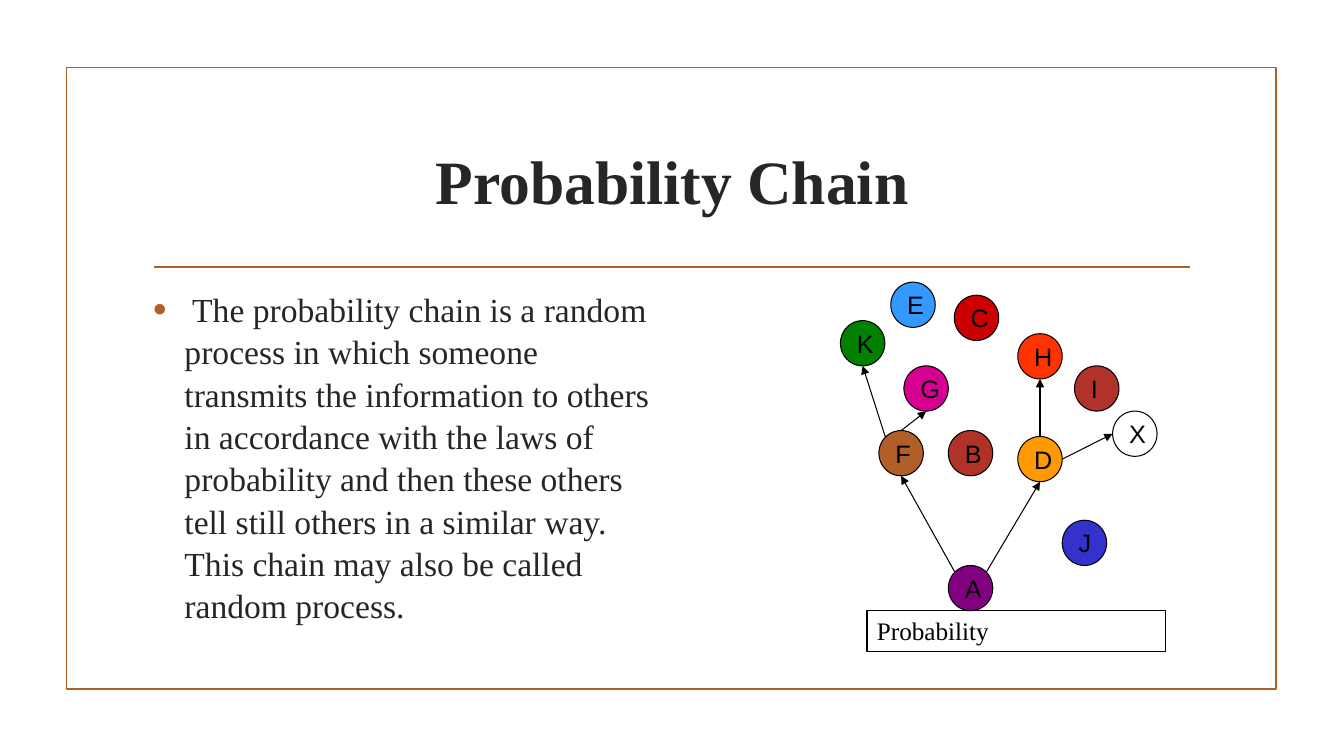
from typing import NamedTuple

from lxml import etree
from pptx import Presentation
from pptx.dml.color import RGBColor
from pptx.enum.shapes import MSO_CONNECTOR, MSO_SHAPE
from pptx.enum.text import MSO_ANCHOR, MSO_AUTO_SIZE, PP_ALIGN
from pptx.oxml.ns import qn
from pptx.util import Cm, Pt

RECT, OVAL = MSO_SHAPE.RECTANGLE, MSO_SHAPE.OVAL
STRAIGHT = MSO_CONNECTOR.STRAIGHT
TOP, MIDDLE = MSO_ANCHOR.TOP, MSO_ANCHOR.MIDDLE
LEFT, CENTER = PP_ALIGN.LEFT, PP_ALIGN.CENTER
GROW = MSO_AUTO_SIZE.SHAPE_TO_FIT_TEXT

COLORS = {
    "rust": "B15E28", "ink": "262626", "black": "000000", "purple": "800080",
    "brick": "B13228", "orange": "FF9900", "blue": "3333CC", "scarlet": "FF3300",
    "red": "CC0000", "sky": "3399FF", "green": "008000", "magenta": "D60093",
}
SERIF, SANS = "Times New Roman", "Arial"
TITLE_FONT = {"name": SERIF, "size": Pt(44), "bold": True}
BODY_FONT = {"name": SERIF, "size": Pt(24)}
LABEL_FONT = {"name": SERIF, "size": Pt(18)}
NODE_FONT = {"name": SANS, "size": Pt(18)}

NODE_W, NODE_H = 1.12, 1.14
# Points on a circle, as fractions of its width and height
SITES = {
    "top": (0.5, 0), "bottom": (0.5, 1), "left": (0, 0.5), "right": (1, 0.5),
    "top left": (0.146, 0.146), "top right": (0.854, 0.146),
}


class Node(NamedTuple):
    x: float
    y: float
    fill: str | None


class Link(NamedTuple):
    source: str
    source_site: str
    target: str
    target_site: str


NODES = {
    "A": Node(23.9, 14.25, "purple"),
    "F": Node(22.15, 10.85, "rust"),
    "B": Node(23.9, 10.85, "brick"),
    "D": Node(25.65, 11, "orange"),
    "J": Node(26.77, 13.11, "blue"),
    "H": Node(25.65, 8.41, "scarlet"),
    "C": Node(24.05, 7.44, "red"),
    "E": Node(22.45, 7.11, "sky"),
    "K": Node(21.18, 8.08, "green"),
    "G": Node(22.78, 9.22, "magenta"),
    "I": Node(27.08, 9.22, "brick"),
    "X": Node(28.04, 10.36, None),
}
LINKS = [
    Link("A", "top left", "F", "bottom"),
    Link("A", "top right", "D", "bottom"),
    Link("F", "top", "G", "bottom"),
    Link("F", "top left", "K", "bottom"),
    Link("D", "top", "H", "bottom"),
    Link("D", "right", "X", "left"),
]
BODY = (
    " The probability chain is a random process in which someone transmits the "
    "information to others in accordance with the laws of probability and then "
    "these others tell still others in a similar way. This chain may also be "
    "called random process."
)


def rgb(color: str) -> RGBColor:
    return RGBColor.from_string(COLORS[color])


def write(sp, text: str, font: dict, color: str, align=LEFT, anchor=TOP, wrap=True):
    tf = sp.text_frame
    for name, value in {"word_wrap": wrap, "vertical_anchor": anchor}.items():
        setattr(tf, name, value)
    p = tf.paragraphs[0]
    p.alignment = align
    r = p.add_run()
    r.text = text
    for name, value in font.items():
        setattr(r.font, name, value)
    r.font.color.rgb = rgb(color)
    return p


def add_text(slide, box: tuple, text: str, font: dict, **layout):
    sp = slide.shapes.add_textbox(*map(Cm, box))
    return write(sp, text, font, "ink", **layout)


def add_outlined(slide, kind, box: tuple, line: str, width: float, fill: str | None = None):
    sp = slide.shapes.add_shape(kind, *map(Cm, box))
    sp.shadow.inherit = False
    if fill:
        sp.fill.solid()
        sp.fill.fore_color.rgb = rgb(fill)
    else:
        sp.fill.background()
    sp.line.color.rgb = rgb(line)
    sp.line.width = Pt(width)
    return sp


def add_line(slide, start: tuple, end: tuple, color: str, width: float, arrow: bool = False):
    cx = slide.shapes.add_connector(STRAIGHT, *map(Cm, start + end))
    cx.line.color.rgb = rgb(color)
    cx.line.width = Pt(width)
    if arrow:
        etree.SubElement(cx.line._get_or_add_ln(), qn("a:tailEnd"), type="triangle")
    etree.SubElement(cx._element.spPr, qn("a:effectLst"))


def add_bullet(p, color: str, indent: float) -> None:
    pPr = p._p.get_or_add_pPr()
    pPr.set("marL", str(Cm(indent)))
    pPr.set("indent", str(-Cm(indent)))
    bu_clr = etree.SubElement(pPr, qn("a:buClr"))
    etree.SubElement(bu_clr, qn("a:srgbClr"), val=COLORS[color])
    etree.SubElement(pPr, qn("a:buSzPct"), val="115000")
    etree.SubElement(pPr, qn("a:buFont"), typeface=SANS)
    etree.SubElement(pPr, qn("a:buChar"), char="•")


def site_point(name: str, site: str) -> tuple:
    node, (fx, fy) = NODES[name], SITES[site]
    return node.x + fx * NODE_W, node.y + fy * NODE_H


def add_chain(slide) -> None:
    """Draw the circles, the arrows between them and the label below."""
    for name, node in NODES.items():
        box = (node.x, node.y, NODE_W, NODE_H)
        sp = add_outlined(slide, OVAL, box, "black", 0.75, node.fill)
        write(sp, name, NODE_FONT, "black", anchor=MIDDLE, wrap=False)
    for link in LINKS:
        start = site_point(link.source, link.source_site)
        end = site_point(link.target, link.target_site)
        add_line(slide, start, end, "black", 0.75, arrow=True)
    label = add_outlined(slide, RECT, (21.85, 15.39, 7.52, 1.03), "black", 0.75)
    write(label, "Probability", LABEL_FONT, "black")
    label.text_frame.auto_size = GROW


def main() -> None:
    prs = Presentation()
    prs.slide_width, prs.slide_height = Cm(33.87), Cm(19.05)
    slide = prs.slides.add_slide(prs.slide_layouts[6])
    add_outlined(slide, RECT, (1.68, 1.7, 30.48, 15.67), "rust", 1.25)
    add_line(slide, (3.89, 6.73), (30, 6.73), "rust", 1.25)
    add_text(slide, (3.61, 2.72, 26.67, 3.63), "Probability Chain", TITLE_FONT,
             align=CENTER, anchor=MIDDLE)
    p = add_text(slide, (3.61, 7.11, 13.11, 9.19), BODY, BODY_FONT)
    add_bullet(p, "rust", 0.79)
    p.line_spacing = 1.05
    p.space_after = Pt(6)
    add_chain(slide)
    prs.save("out.pptx")


if __name__ == "__main__":
    main()
